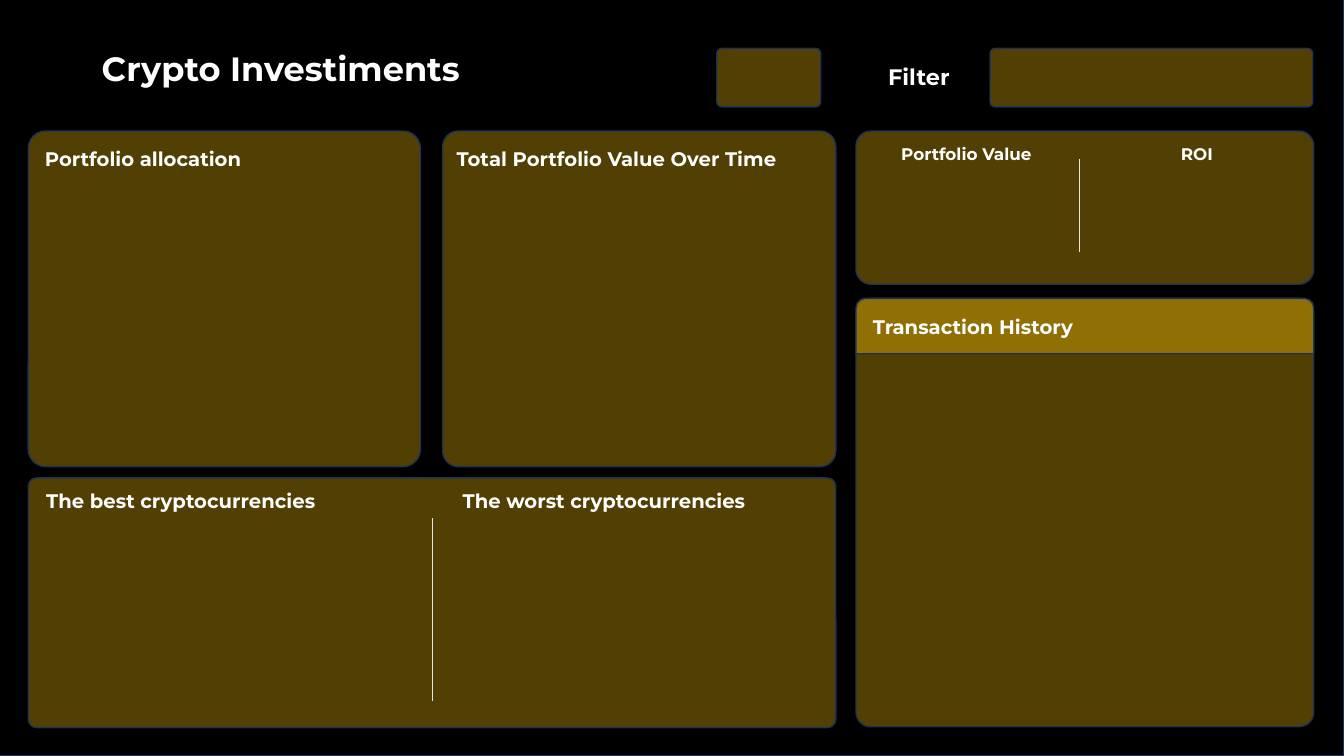
from pptx import Presentation
from pptx import util as u
from pptx.dml.color import RGBColor
from pptx.enum import shapes, text
from pptx.oxml.ns import qn
from lxml import etree

BLACK = RGBColor(0x00, 0x00, 0x00)
GOLD = RGBColor(0xAD, 0x85, 0x07)
NAVY = RGBColor(0x1E, 0x32, 0x56)
WHITE = RGBColor(0xFF, 0xFF, 0xFF)
PALE = RGBColor(0xE7, 0xE6, 0xE6)
KIND = shapes.MSO_SHAPE
LEFT, MID = text.PP_ALIGN.LEFT, text.PP_ALIGN.CENTER

deck = Presentation()
deck.slide_width, deck.slide_height = u.Inches(13.33), u.Inches(7.5)
slide = deck.slides.add_slide(deck.slide_layouts[6])


def panel(kind, box, color, alpha=None, round_by=None):
    shape = slide.shapes.add_shape(kind, *map(u.Inches, box))
    shape.shadow.inherit = False
    shape.fill.solid()
    shape.fill.fore_color.rgb = color
    shape.line.color.rgb = NAVY
    shape.line.width = u.Pt(1)
    if round_by:
        shape.adjustments[0] = round_by
    if alpha:
        tint = shape._element.spPr.find(qn("a:solidFill"))[0]
        etree.SubElement(tint, qn("a:alpha"), val=str(alpha * 1000))


def label(words, box, size, align=LEFT):
    frame = slide.shapes.add_textbox(*map(u.Inches, box)).text_frame
    frame.word_wrap = True
    frame.auto_size = text.MSO_AUTO_SIZE.SHAPE_TO_FIT_TEXT
    para = frame.paragraphs[0]
    para.alignment = align
    run = para.add_run()
    run.text = words
    style = {"name": "Montserrat", "size": u.Pt(size), "bold": True}
    for key, value in style.items():
        setattr(run.font, key, value)
    run.font.color.rgb = WHITE


panel(KIND.RECTANGLE, (-0.02, -0.02, 13.35, 7.52), BLACK)

cards = [
    ((7.11, 0.48, 1.03, 0.58), 0.086),
    ((9.82, 0.48, 3.2, 0.58), 0.086),
    ((0.28, 1.3, 3.89, 3.33), 0.052),
    ((4.39, 1.3, 3.9, 3.33), 0.047),
    ((8.49, 1.3, 4.54, 1.52), 0.097),
    ((0.28, 4.74, 8.01, 2.48), 0.034),
    ((8.49, 2.96, 4.54, 4.25), 0.034),
]
for box, curve in cards:
    panel(KIND.ROUNDED_RECTANGLE, box, GOLD, 48, curve)
panel(KIND.ROUND_2_SAME_RECTANGLE, (8.49, 2.96, 4.54, 0.55), GOLD, 69)

for x, top, end in [(10.71, 1.58, 2.5), (4.29, 5.14, 6.95)]:
    rule = slide.shapes.add_connector(
        shapes.MSO_CONNECTOR.STRAIGHT, *map(u.Inches, (x, top, x, end)))
    rule.line.color.rgb = PALE
    rule.line.width = u.Pt(0.5)
    etree.SubElement(rule._element.spPr, qn("a:effectLst"))

titles = [
    ("Crypto Investiments", (0.91, 0.43, 6.15, 0.5), 24, LEFT),
    ("Filter", (8.71, 0.58, 1.11, 0.37), 16, LEFT),
    ("Portfolio allocation", (0.28, 1.41, 2.28, 0.34), 14, MID),
    ("Total Portfolio Value Over Time", (4.43, 1.41, 3.89, 0.34), 14, LEFT),
    ("Portfolio Value", (8.84, 1.38, 1.52, 0.3), 12, LEFT),
    ("ROI", (11.11, 1.38, 1.52, 0.3), 12, MID),
    ("Transaction History", (8.56, 3.08, 4.18, 0.34), 14, LEFT),
    ("The best cryptocurrencies", (0.36, 4.8, 4.18, 0.34), 14, LEFT),
    ("The worst cryptocurrencies", (4.49, 4.8, 4.18, 0.34), 14, LEFT),
]
for title in titles:
    label(*title)

deck.save("out.pptx")
